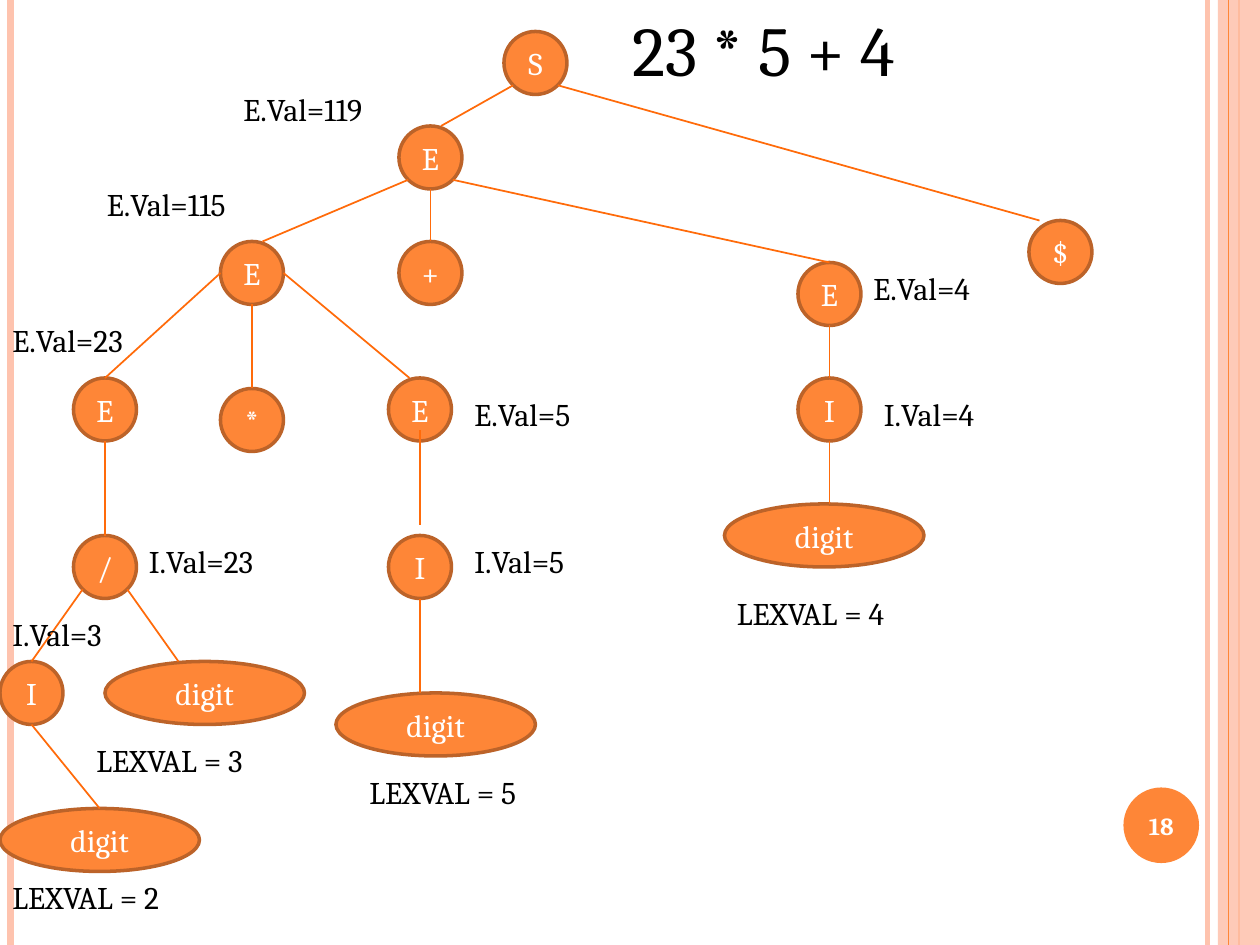
from dataclasses import dataclass
from math import sqrt

from lxml.etree import SubElement
from pptx import Presentation
from pptx.dml.color import RGBColor
from pptx.enum.shapes import MSO_CONNECTOR, MSO_SHAPE
from pptx.enum.text import MSO_ANCHOR, MSO_AUTO_SIZE, PP_ALIGN
from pptx.oxml.ns import qn
from pptx.util import Inches, Pt


@dataclass(frozen=True)
class Theme:
    font: str = "Cambria"
    accent: str = "FE8637"
    outline: str = "BC6329"
    edge: str = "FF6B0A"
    pale: str = "FEC3AE"
    ink: str = "000000"
    white: str = "FFFFFF"
    title_size: int = 40
    body_size: int = 18
    number_size: int = 14


THEME = Theme()
WIDTH, HEIGHT = 10, 7.5
COLUMNS = 120
CELL = WIDTH / COLUMNS
ROWS = HEIGHT / CELL
NODE_HEIGHT, NODE_WIDTH, LEAF_WIDTH = 6, 6, 19
LABEL_HEIGHT = 4.8

TITLE = "23 * 5 + 4"
SLIDE_NUMBER = "18"

NODES = {
    "start": ("S", 48, 3),
    "end": ("$", 98, 21),
    "sum": ("E", 38, 12),
    "product": ("E", 21, 23),
    "plus": ("+", 38, 23),
    "four": ("E", 76, 25),
    "twenty_three": ("E", 7, 36),
    "times": ("*", 21, 37),
    "five": ("E", 37, 36),
    "digits_23": ("/", 7, 51),
    "tens": ("I", 0, 63),
    "integer_5": ("I", 37, 51),
    "integer_4": ("I", 76, 36),
    "digit_2": ("digit", 0, 77),
    "digit_3": ("digit", 10, 63),
    "digit_4": ("digit", 69, 48),
    "digit_5": ("digit", 32, 66),
}

EDGES = [
    (("start", "lower left"), (42, 12)),
    (("start", "lower right"), (99, 21)),
    (("sum", "lower left"), (25, 23)),
    (("sum", "bottom"), ("plus", "top")),
    (("sum", "lower right"), ("four", "top")),
    (("product", "left"), ("twenty_three", "top")),
    (("product", "bottom"), ("times", "top")),
    (("product", "right"), (39, 36)),
    (("twenty_three", "bottom"), ("digits_23", "top")),
    (("digits_23", "lower left"), ("tens", "top")),
    (("digits_23", "lower right"), (17, 63)),
    (("tens", "bottom"), ("digit_2", "top")),
    ((40, 41), (40, 50)),
    (("integer_5", "bottom"), (40, 66)),
    (("four", "bottom"), ("integer_4", "top")),
    (("integer_4", "bottom"), (79, 48)),
]

LABELS = [
    ("E.Val=119", 22, 8, 17),
    ("E.Val=115", 9, 17, 17),
    ("E.Val=23", 0, 30, 17),
    ("E.Val=4", 82, 25, 14),
    ("E.Val=5", 44, 37, 14),
    ("I.Val=4", 83, 37, 14),
    ("I.Val=23", 13, 51, 16),
    ("I.Val=5", 44, 51, 14),
    ("I.Val=3", 0, 58, 14),
    ("LEXVAL = 2", 0, 83, 22),
    ("LEXVAL = 3", 8, 70, 22),
    ("LEXVAL = 4", 69, 56, 22),
    ("LEXVAL = 5", 34, 73, 22),
]

STRIPES_BEHIND_BAND = [(115, THEME.pale, 3), (1, THEME.pale, 4.5),
                       (118, THEME.accent, 1.5)]
STRIPES_OVER_BAND = [(117, THEME.accent, 0.75)]
BAND_LEFT = 116
BADGE = (107, 75, 7.2, 7.2)

DIAGONAL = 1 / sqrt(2)
SITES = {
    "top": (0, -1),
    "left": (-1, 0),
    "bottom": (0, 1),
    "right": (1, 0),
    "lower left": (-DIAGONAL, DIAGONAL),
    "lower right": (DIAGONAL, DIAGONAL),
}


def grid(*cells):
    return [Inches(cell * CELL) for cell in cells]


def color(value):
    return RGBColor.from_string(value)


def write(shape, text, size, ink, alignment, anchor, bold=False):
    frame = shape.text_frame
    frame.text = text
    frame.word_wrap = True
    frame.vertical_anchor = anchor
    paragraph = frame.paragraphs[0]
    paragraph.alignment = alignment
    font = paragraph.runs[0].font
    font.name, font.size, font.bold = THEME.font, Pt(size), bold
    font.color.rgb = color(ink)


def add_filled(slide, kind, box, fill, outline=None):
    shape = slide.shapes.add_shape(kind, *grid(*box))
    shape.shadow.inherit = False
    shape.fill.solid()
    shape.fill.fore_color.rgb = color(fill)
    if outline:
        shape.line.color.rgb = color(outline)
        shape.line.width = Pt(2)
    else:
        shape.line.fill.background()
    return shape


def add_line(slide, start, end, stroke, weight):
    line = slide.shapes.add_connector(MSO_CONNECTOR.STRAIGHT, *grid(*start, *end))
    line.line.color.rgb = color(stroke)
    line.line.width = Pt(weight)
    SubElement(line._element.spPr, qn("a:effectLst"))
    return line


def add_stripes(slide, stripes):
    for column, stroke, weight in stripes:
        add_line(slide, (column, 0), (column, ROWS), stroke, weight)


def node_box(name):
    text, left, top = NODES[name]
    return left, top, LEAF_WIDTH if text == "digit" else NODE_WIDTH, NODE_HEIGHT


def locate(place):
    if place[0] not in NODES:
        return place
    left, top, width, height = node_box(place[0])
    across, down = SITES[place[1]]
    return left + width / 2 * (1 + across), top + height / 2 * (1 + down)


def add_frame(slide):
    add_stripes(slide, STRIPES_BEHIND_BAND)
    band = add_filled(slide, MSO_SHAPE.RECTANGLE,
                      (BAND_LEFT, 0, COLUMNS - BAND_LEFT, ROWS), THEME.pale)
    fill = band._element.spPr.find(qn("a:solidFill"))
    SubElement(fill[0], qn("a:alpha"), val="87000")
    add_stripes(slide, STRIPES_OVER_BAND)
    badge = add_filled(slide, MSO_SHAPE.OVAL, BADGE, THEME.accent)
    badge.text_frame.margin_left = badge.text_frame.margin_right = 0
    write(badge, SLIDE_NUMBER, THEME.number_size, THEME.white,
          PP_ALIGN.CENTER, MSO_ANCHOR.MIDDLE, bold=True)


def add_tree(slide):
    shapes = {}
    for name, (text, *_) in NODES.items():
        shapes[name] = add_filled(slide, MSO_SHAPE.OVAL, node_box(name),
                                  THEME.accent, THEME.outline)
        write(shapes[name], text, THEME.body_size, THEME.white,
              PP_ALIGN.CENTER, MSO_ANCHOR.MIDDLE)
    for start, end in EDGES:
        edge = add_line(slide, locate(start), locate(end), THEME.edge, 1)
        if end[0] in shapes:
            edge.end_connect(shapes[end[0]], 0)
    for text, *box in LABELS:
        label = slide.shapes.add_textbox(*grid(*box, LABEL_HEIGHT))
        write(label, text, THEME.body_size, THEME.ink, PP_ALIGN.LEFT, MSO_ANCHOR.TOP)
        label.text_frame.auto_size = MSO_AUTO_SIZE.SHAPE_TO_FIT_TEXT


def main():
    presentation = Presentation()
    presentation.slide_width, presentation.slide_height = Inches(WIDTH), Inches(HEIGHT)
    slide = presentation.slides.add_slide(presentation.slide_layouts[5])
    title = slide.shapes.title
    title.left, title.top, title.width, title.height = grid(59, 0, 58, 9.3)
    write(title, TITLE, THEME.title_size, THEME.ink, PP_ALIGN.LEFT, MSO_ANCHOR.TOP)
    add_frame(slide)
    add_tree(slide)
    presentation.save("out.pptx")


if __name__ == "__main__":
    main()
